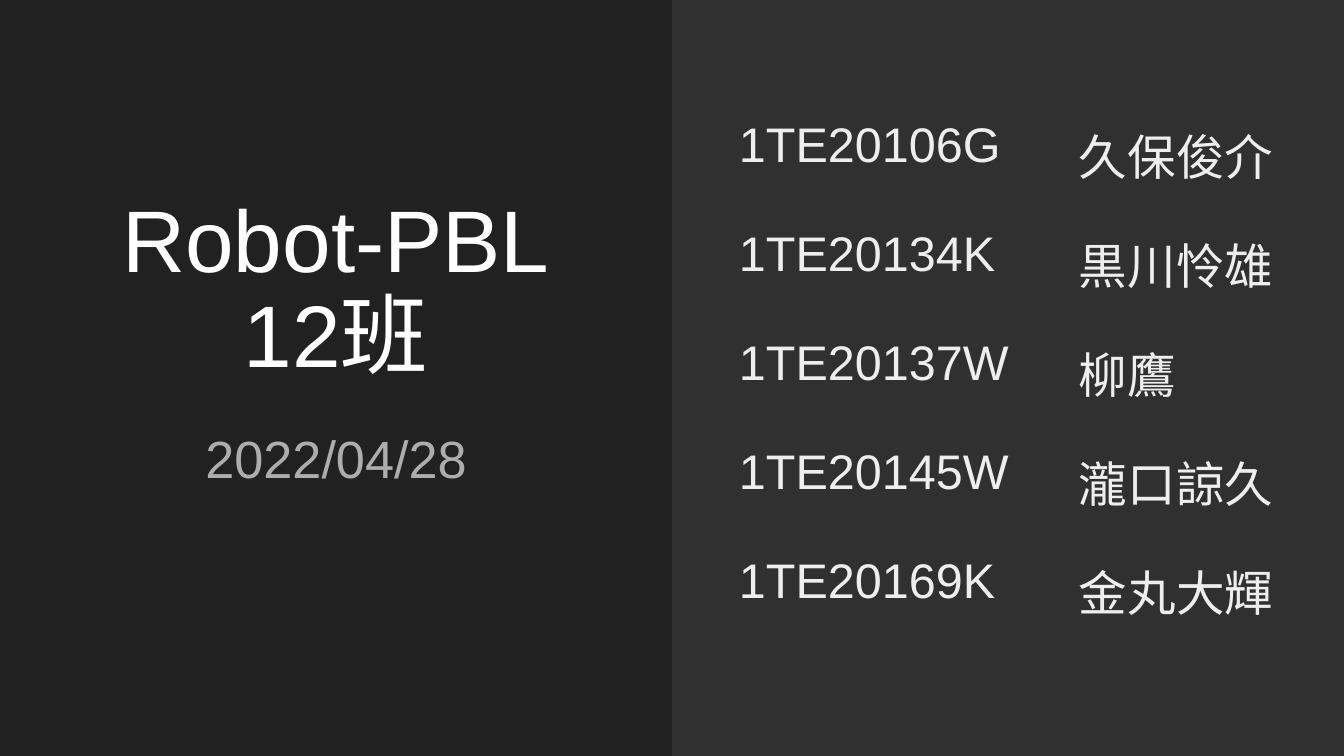
from lxml import etree
from pptx import Presentation
from pptx.dml.color import RGBColor
from pptx.enum.shapes import MSO_SHAPE
from pptx.enum.text import MSO_ANCHOR, PP_ALIGN
from pptx.oxml.ns import qn
from pptx.util import Emu, Pt

RECTANGLE = MSO_SHAPE.RECTANGLE
CENTER = PP_ALIGN.CENTER
TOP, BOTTOM = MSO_ANCHOR.TOP, MSO_ANCHOR.BOTTOM

TITLE = ["Robot-PBL", "12班"]
DATE = ["2022/04/28"]
MEMBERS = [
    ("1TE20106G", "久保俊介"),
    ("1TE20134K", "黒川怜雄"),
    ("1TE20137W", "柳鷹"),
    ("1TE20145W", "瀧口諒久"),
    ("1TE20169K", "金丸大輝"),
]
COLORS = {
    "background": "212121",
    "panel": "303030",
    "title": "FFFFFF",
    "date": "ADADAD",
    "member": "EEEEEE",
}
FONT = "Arial"
SLIDE_WIDTH, SLIDE_HEIGHT = 1344, 756
TABLE_LEFT, TABLE_TOP = 726, 106
COLUMN_WIDTHS = (340, 223)
ROW_HEIGHT = 109
INSET = 13


def px(value):
    return Emu(round(value * 914400 / 134.4))


def color(name):
    return RGBColor.from_string(COLORS[name])


def style_font(paragraph, size, color_name):
    paragraph.font.name = FONT
    paragraph.font.size = Pt(size)
    paragraph.font.color.rgb = color(color_name)


def set_margins(target):
    target.margin_left = target.margin_right = px(INSET)
    target.margin_top = target.margin_bottom = px(INSET)


def add_text(slide, lines, box, size, color_name, anchor, spacing):
    frame = slide.shapes.add_textbox(*map(px, box)).text_frame
    frame.word_wrap = True
    frame.vertical_anchor = anchor
    set_margins(frame)
    frame.text = "\n".join(lines)
    for paragraph in frame.paragraphs:
        paragraph.alignment = CENTER
        paragraph.line_spacing = spacing
        style_font(paragraph, size, color_name)


def clear_cell(cell):
    properties = cell._tc.get_or_add_tcPr()
    for side in ("a:lnL", "a:lnR", "a:lnT", "a:lnB"):
        border = etree.SubElement(properties, qn(side))
        etree.SubElement(border, qn("a:noFill"))
    cell.fill.background()


def add_members(slide):
    table = slide.shapes.add_table(
        len(MEMBERS), len(COLUMN_WIDTHS), px(TABLE_LEFT), px(TABLE_TOP),
        px(sum(COLUMN_WIDTHS)), px(ROW_HEIGHT * len(MEMBERS)),
    ).table
    table.first_row = False
    table.horz_banding = False
    for column, width in zip(table.columns, COLUMN_WIDTHS):
        column.width = px(width)
    for row, member in zip(table.rows, MEMBERS):
        row.height = px(ROW_HEIGHT)
        for cell, text in zip(row.cells, member):
            clear_cell(cell)
            set_margins(cell)
            cell.text = text
            style_font(cell.text_frame.paragraphs[0], 26, "member")


presentation = Presentation()
presentation.slide_width = px(SLIDE_WIDTH)
presentation.slide_height = px(SLIDE_HEIGHT)
slide = presentation.slides.add_slide(presentation.slide_layouts[6])
slide.background.fill.solid()
slide.background.fill.fore_color.rgb = color("background")

half = SLIDE_WIDTH // 2
panel = slide.shapes.add_shape(RECTANGLE, px(half), 0, px(half), px(SLIDE_HEIGHT))
panel.shadow.inherit = False
panel.fill.solid()
panel.fill.fore_color.rgb = color("panel")
panel.line.fill.background()

add_members(slide)
add_text(slide, TITLE, (39, 181, 594, 218), 46.8, "title", BOTTOM, 0.9)
add_text(slide, DATE, (39, 413, 594, 181), 28, "date", TOP, 1.0)

presentation.save("out.pptx")
